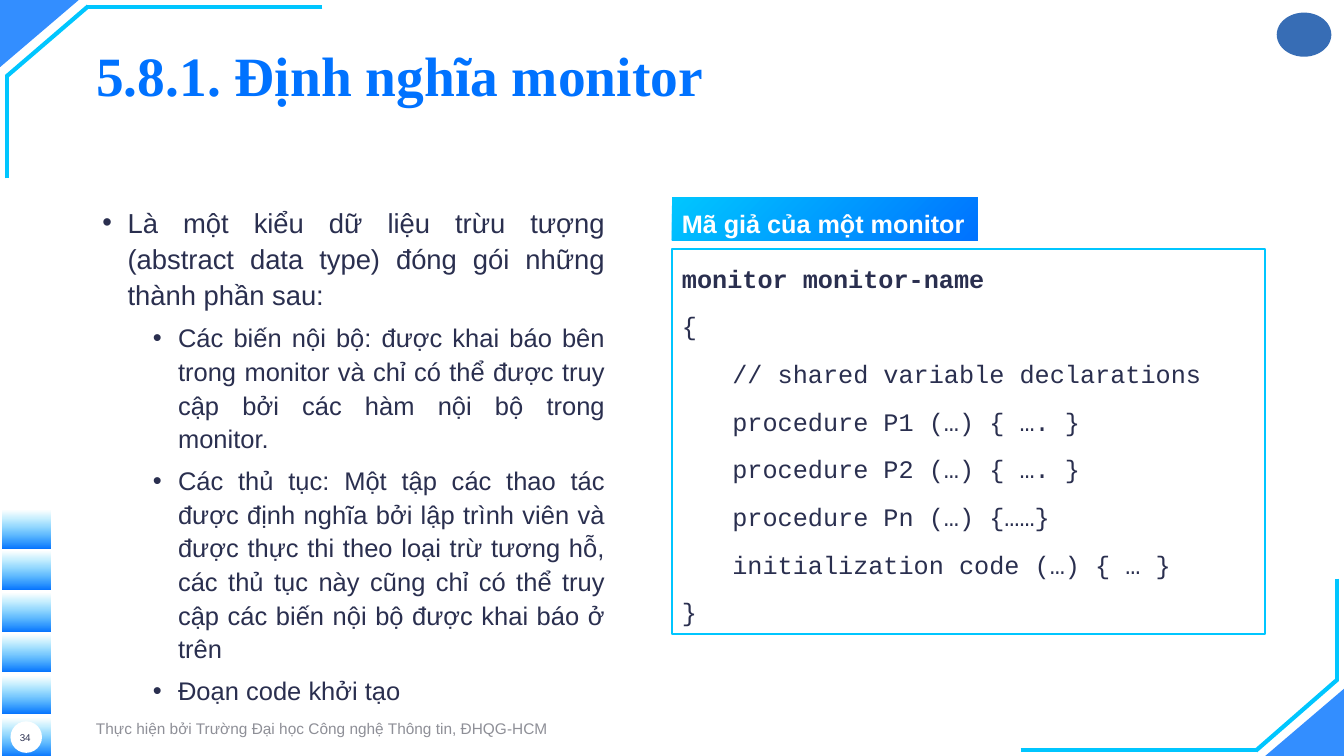
from dataclasses import dataclass
from typing import NamedTuple

from lxml.etree import SubElement
from pptx import Presentation
from pptx.dml.color import RGBColor
from pptx.enum.shapes import MSO_CONNECTOR as Link, MSO_SHAPE as Kind
from pptx.enum.text import MSO_ANCHOR as Anchor, MSO_AUTO_SIZE as Fit, PP_ALIGN as Align
from pptx.oxml.ns import qn
from pptx.util import Emu, Pt

PX = 9525
BLUE = RGBColor(0x00, 0x72, 0xFF)
CYAN = RGBColor(0x00, 0xC6, 0xFF)
NAVY = RGBColor(0x2A, 0x2F, 0x4F)
GRAY = RGBColor(0x8E, 0x8F, 0x97)
WHITE = RGBColor(0xFF, 0xFF, 0xFF)
STEEL = RGBColor(0x37, 0x6D, 0xB5)


class Box(NamedTuple):
    x: int
    y: int
    w: int
    h: int


class Line(NamedTuple):
    x1: int
    y1: int
    x2: int
    y2: int


@dataclass(frozen=True)
class Look:
    size: float
    color: RGBColor = NAVY
    font: str = "Arial"
    bold: bool = False


@dataclass(frozen=True)
class Para:
    text: str
    look: Look
    level: int = 0


@dataclass(frozen=True)
class Flow:
    lead: float = 1.0
    gap: int = 0
    align: Align = Align.LEFT
    anchor: Anchor = Anchor.TOP
    wrap: bool = True
    dots: bool = False


HEAD = Look(39.6, BLUE, "Times New Roman", True)
MAIN = Look(19.6)
ITEM = Look(18.2)
CODE = Look(18, font="Courier New")
NAME = Look(18, font="Courier New", bold=True)

FRAME = [
    Line(307, 7, 82, 7), Line(84, 6, 6, 73), Line(7, 170, 7, 71),
    Line(972, 714, 1198, 714), Line(1196, 715, 1274, 647), Line(1273, 551, 1273, 649),
]
POINTS = [
    Para("Là một kiểu dữ liệu trừu tượng (abstract data type) đóng gói những thành phần sau:", MAIN),
    Para("Các biến nội bộ: được khai báo bên trong monitor và chỉ có thể được truy cập "
         "bởi các hàm nội bộ trong monitor.", ITEM, 1),
    Para("Các thủ tục: Một tập các thao tác được định nghĩa bởi lập trình viên và được "
         "thực thi theo loại trừ tương hỗ, các thủ tục này cũng chỉ có thể truy cập "
         "các biến nội bộ được khai báo ở trên", ITEM, 1),
    Para("Đoạn code khởi tạo", ITEM, 1),
]
LINES = [
    "{",
    "\t// shared variable declarations",
    "\tprocedure P1 (…) { …. }",
    "\tprocedure P2 (…) { …. }",
    "\tprocedure Pn (…) {……}",
    "\tinitialization code (…) { … }",
    "}",
]


def scale(box):
    return [Emu(n * PX) for n in box]


def place(shape, box: Box) -> None:
    shape.left, shape.top, shape.width, shape.height = scale(box)


def draw(slide, kind: Kind, box: Box, fill: RGBColor | None = None):
    shape = slide.shapes.add_shape(kind, *scale(box))
    shape.shadow.inherit = False
    shape.line.fill.background()
    if fill is None:
        shape.fill.background()
    else:
        shape.fill.solid()
        shape.fill.fore_color.rgb = fill
    return shape


def fade(shape, part: int) -> None:
    tint = shape._element.spPr.findall(".//" + qn("a:srgbClr"))[-1]
    SubElement(tint, qn("a:alpha")).set("val", str(part * 1000))


def blend(shape, start: RGBColor, end: RGBColor, angle: int) -> None:
    shape.fill.gradient()
    shape.fill.gradient_angle = angle
    for stop, color in zip(shape.fill.gradient_stops, (start, end)):
        stop.color.rgb = color


def stroke(slide, line: Line) -> None:
    link = slide.shapes.add_connector(Link.STRAIGHT, *scale(line))
    link.line.color.rgb = CYAN
    link.line.width = Pt(3)
    SubElement(link._element.spPr, qn("a:effectLst"))


def dot(para, level: int) -> None:
    props = para._p.get_or_add_pPr()
    props.set("marL", str((24 + 48 * level) * PX))
    props.set("indent", str(-24 * PX))
    SubElement(props, qn("a:buFont")).set("typeface", "Arial")
    SubElement(props, qn("a:buChar")).set("char", "•")


def write(shape, paras: list[Para], flow: Flow) -> None:
    frame = shape.text_frame
    frame.auto_size = Fit.NONE
    frame.word_wrap = flow.wrap
    frame.vertical_anchor = flow.anchor
    for i, item in enumerate(paras):
        para = frame.add_paragraph() if i else frame.paragraphs[0]
        para.level = item.level
        if flow.dots:
            dot(para, item.level)
        para.alignment = flow.align
        para.line_spacing = flow.lead
        para.space_before = Pt(flow.gap if i else 0)
        para.space_after = Pt(flow.gap)
        run = para.add_run()
        run.text = item.text
        run.font.size = Pt(item.look.size)
        run.font.name = item.look.font
        run.font.bold = item.look.bold
        run.font.color.rgb = item.look.color


def label(slide, box: Box, para: Para, flow: Flow) -> None:
    write(slide.shapes.add_textbox(*scale(box)), [para], flow)


def adorn(slide) -> None:
    for box, turn in ((Box(0, 0, 75, 64), 180), (Box(1205, 656, 75, 64), 0)):
        corner = draw(slide, Kind.ISOSCELES_TRIANGLE, box, BLUE)
        corner.adjustments[0] = 1
        corner.rotation = turn
        fade(corner, 80)
    for line in FRAME:
        stroke(slide, line)
    for i in range(6):
        bar = draw(slide, Kind.RECTANGLE, Box(2, 486 + 198 * i // 5, 46, 36))
        blend(bar, BLUE, CYAN, 90)
        fade(bar, 0)
    draw(slide, Kind.OVAL, Box(10, 687, 30, 30), WHITE)
    draw(slide, Kind.OVAL, Box(1216, 12, 52, 42), STEEL)


def main() -> None:
    deck = Presentation()
    deck.slide_width, deck.slide_height = scale((1280, 720))
    slide = deck.slides.add_slide(deck.slide_layouts[1])
    adorn(slide)

    title, body = slide.placeholders
    place(title, Box(82, 23, 1111, 83))
    write(title, [Para("5.8.1. Định nghĩa monitor", HEAD)],
          Flow(1.2, 2, anchor=Anchor.MIDDLE))
    place(body, Box(88, 188, 498, 467))
    write(body, POINTS, Flow(1.1, 3, Align.JUSTIFY, dots=True))

    label(slide, Box(82, 680, 453, 28),
          Para("Thực hiện bởi Trường Đại học Công nghệ Thông tin, ĐHQG-HCM", Look(11, GRAY)),
          Flow(anchor=Anchor.MIDDLE))
    label(slide, Box(6, 684, 36, 36), Para("34", Look(7)),
          Flow(align=Align.CENTER, anchor=Anchor.MIDDLE))

    code = draw(slide, Kind.RECTANGLE, Box(640, 237, 565, 367))
    code.line.color.rgb = CYAN
    code.line.width = Pt(1.5)
    write(code, [Para("monitor monitor-name", NAME)] + [Para(text, CODE) for text in LINES],
          Flow(1.3, 3, wrap=False))
    tag = draw(slide, Kind.RECTANGLE, Box(640, 188, 291, 41))
    blend(tag, CYAN, BLUE, 315)
    write(tag, [Para("Mã giả của một monitor", Look(18, WHITE, bold=True))],
          Flow(1.2, 2, wrap=False))

    deck.save("out.pptx")


if __name__ == "__main__":
    main()
